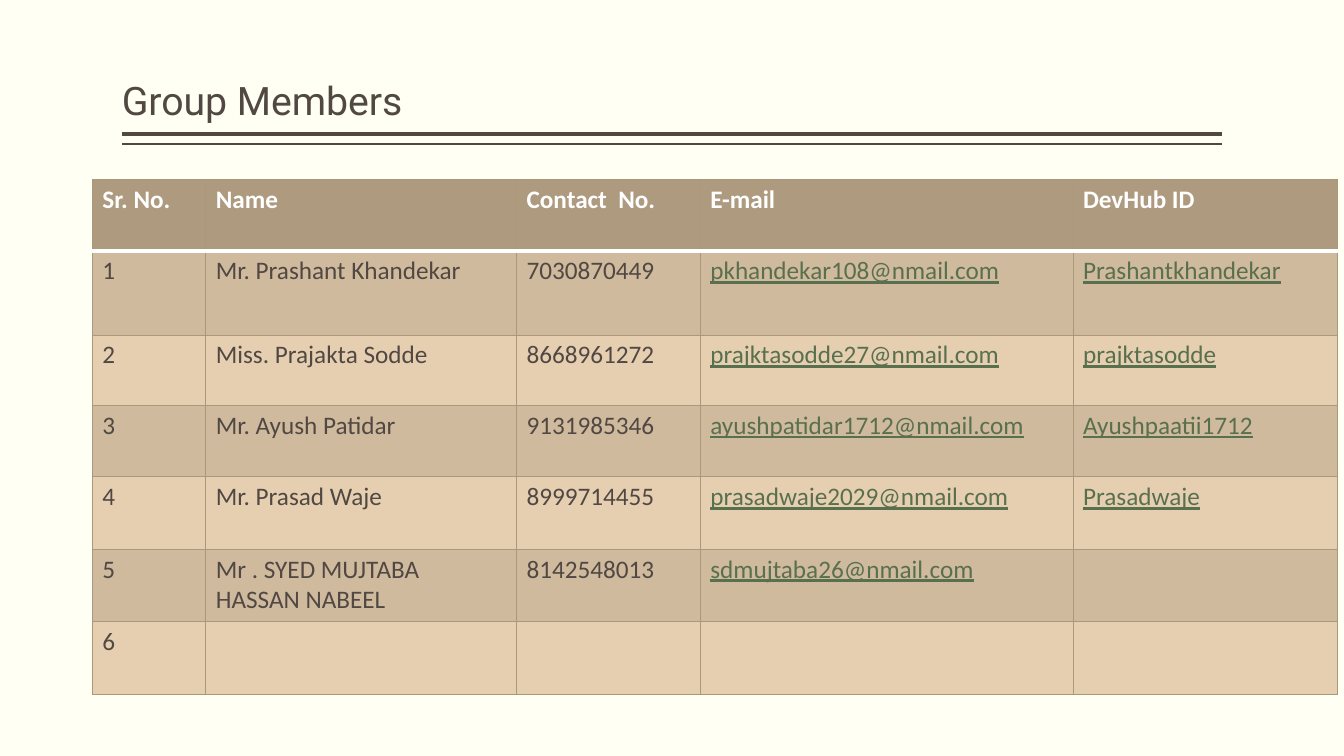
from lxml import etree
from pptx import Presentation
from pptx.dml.color import RGBColor
from pptx.enum.shapes import MSO_CONNECTOR
from pptx.enum.text import MSO_ANCHOR, MSO_AUTO_SIZE, PP_ALIGN
from pptx.oxml.ns import qn
from pptx.util import Pt

STRAIGHT = MSO_CONNECTOR.STRAIGHT
BOTTOM = MSO_ANCHOR.BOTTOM
NO_FIT = MSO_AUTO_SIZE.NONE
LEFT = PP_ALIGN.LEFT

EMU_PER_PX = 9525
TITLE_LAYOUT = 5
LINK_COLUMNS = (3, 4)

CREAM = "FFFFF3"
BROWN = "514843"
GREEN = "59704F"
WHITE = "FFFFFF"
HEADER = "AE9A7E"
BANDS = ("E6CFB1", "D0BA9D")
GRID = "AB977A"

COLUMN_WIDTHS = (108, 296, 175, 355, 252)
ROW_HEIGHTS = (68, 80, 67, 68, 69, 69, 69)
MEMBERS = (
    ("Sr. No.", "Name", "Contact  No.", "E-mail", "DevHub ID"),
    ("1", "Mr. Prashant Khandekar", "7030870449", "pkhandekar108@nmail.com", "Prashantkhandekar"),
    ("2", "Miss. Prajakta Sodde", "8668961272", "prajktasodde27@nmail.com", "prajktasodde"),
    ("3", "Mr. Ayush Patidar", "9131985346", "ayushpatidar1712@nmail.com", "Ayushpaatii1712"),
    ("4", "Mr. Prasad Waje", "8999714455", "prasadwaje2029@nmail.com", "Prasadwaje"),
    ("5", "Mr . SYED MUJTABA HASSAN NABEEL", "8142548013", "sdmujtaba26@nmail.com", ""),
    ("6", "", "", "", ""),
)


def px(length):
    return length * EMU_PER_PX


def color(value):
    return RGBColor.from_string(value)


def write(frame, text, font="Calibri", size=18, fill=BROWN, bold=False, underline=False, spacing=1.0):
    para = frame.paragraphs[0]
    para.alignment = LEFT
    para.line_spacing = spacing
    if not text:
        para.font.size = Pt(size)
        return
    span = para.add_run()
    span.text = text
    span.font.name = font
    span.font.size = Pt(size)
    span.font.bold = bold
    span.font.underline = underline
    span.font.color.rgb = color(fill)


def add_rule(page, left, top, width, weight):
    rule = page.shapes.add_connector(STRAIGHT, px(left + width), px(top), px(left), px(top))
    rule.line.color.rgb = color(BROWN)
    rule.line.width = Pt(weight)
    etree.SubElement(rule._element.spPr, qn("a:effectLst"))


def add_heading(page, left, top, width, height):
    title = page.shapes.title
    title.left, title.top, title.width, title.height = map(px, (left, top, width, height))
    frame = title.text_frame
    frame.margin_left = frame.margin_right = 0
    frame.margin_top = frame.margin_bottom = px(5)
    frame.vertical_anchor = BOTTOM
    frame.auto_size = NO_FIT
    frame.word_wrap = True
    write(frame, "Group Members", font="Roboto", size=28, spacing=0.9)
    add_rule(page, left, top + height + 5, width, 3)
    add_rule(page, left, top + height + 14, width, 1)


def set_border(cell, position, side, line_color, weight):
    properties = cell._tc.get_or_add_tcPr()
    line = etree.Element(qn(f"a:ln{side}"), w=str(Pt(weight)))
    fill = etree.SubElement(line, qn("a:solidFill"))
    etree.SubElement(fill, qn("a:srgbClr"), val=line_color)
    properties.insert(position, line)


def format_cell(cell, text, row, column):
    is_header = row == 0
    is_link = not is_header and column in LINK_COLUMNS
    cell.fill.solid()
    cell.fill.fore_color.rgb = color(HEADER if is_header else BANDS[row % 2])
    text_color = WHITE if is_header else GREEN if is_link else BROWN
    write(cell.text_frame, text, fill=text_color, bold=is_header, underline=is_link)
    for position, side in enumerate("LRTB"):
        under_header = (row, side) in ((0, "B"), (1, "T"))
        line_color, weight = (WHITE, 3.78) if under_header else (GRID, 0.5)
        set_border(cell, position, side, line_color, weight)


def add_members(page, left, top):
    box = page.shapes.add_table(
        len(ROW_HEIGHTS), len(COLUMN_WIDTHS), px(left), px(top),
        px(sum(COLUMN_WIDTHS)), px(sum(ROW_HEIGHTS)),
    )
    table = box.table
    for column, width in zip(table.columns, COLUMN_WIDTHS):
        column.width = px(width)
    for row, height in zip(table.rows, ROW_HEIGHTS):
        row.height = px(height)
    for row, member in enumerate(MEMBERS):
        for column, text in enumerate(member):
            format_cell(table.cell(row, column), text, row, column)


def main():
    deck = Presentation()
    deck.slide_width, deck.slide_height = px(1280), px(720)
    page = deck.slides.add_slide(deck.slide_layouts[TITLE_LAYOUT])
    page.background.fill.solid()
    page.background.fill.fore_color.rgb = color(CREAM)
    add_heading(page, 116, 8, 1048, 115)
    add_members(page, 88, 171)
    deck.save("out.pptx")


if __name__ == "__main__":
    main()
